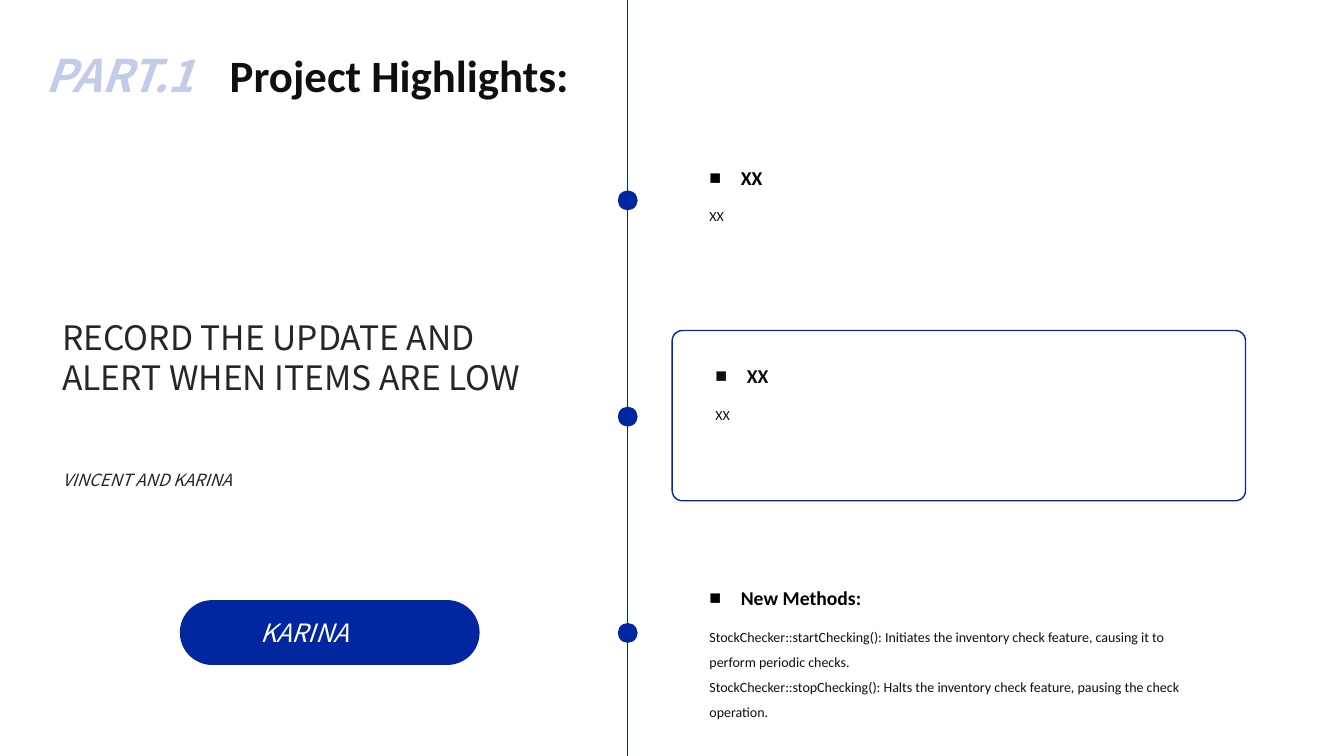
from dataclasses import dataclass

from lxml import etree
from pptx import Presentation
from pptx.dml.color import RGBColor
from pptx.enum import shapes, text
from pptx.oxml import ns
from pptx.util import Cm, Pt


@dataclass(frozen=True)
class Theme:
    blue: str = "0026A0"
    ink: str = "0F0F0F"
    black: str = "000000"
    grey: str = "262626"
    white: str = "FFFFFF"
    body_font: str = "Calibri"
    display_font: str = "Noto Sans CJK SC"
    title: int = 32
    statement: int = 24
    button: int = 18
    heading: int = 14
    caption: int = 12
    body: int = 10


THEME = Theme()
AXIS_X = 15.82
DOT_SIZE = 0.5
SHAPE = shapes.MSO_SHAPE


def add_xml(parent, tag, **attributes):
    return etree.SubElement(parent, ns.qn(tag), attributes)


def add_bullet(para, indent=0.79):
    props = para._p.get_or_add_pPr()
    props.set("marL", str(Cm(indent)))
    props.set("indent", str(-Cm(indent)))
    add_xml(props, "a:buFont", typeface="Arial")
    add_xml(props, "a:buChar", char="■")


def add_text(page, content, left, top, width, height, *, size, color=THEME.ink,
             font=THEME.body_font, bold=False, italic=False, spacing=None,
             bullet=False, opacity=None):
    """Add a text box with one paragraph for each line of content."""
    box = page.shapes.add_textbox(Cm(left), Cm(top), Cm(width), Cm(height))
    frame = box.text_frame
    frame.word_wrap = True
    for index, line in enumerate(content.split("\n")):
        para = frame.paragraphs[0] if index == 0 else frame.add_paragraph()
        if spacing:
            para.line_spacing = spacing
        if bullet:
            add_bullet(para)
        span = para.add_run()
        span.text = line
        span.font.size = Pt(size)
        span.font.name = font
        span.font.bold = bold
        span.font.italic = italic
        span.font.color.rgb = RGBColor.from_string(color)
        props = span._r.get_or_add_rPr()
        if opacity:
            fill_color = props.find(".//" + ns.qn("a:srgbClr"))
            add_xml(fill_color, "a:alpha", val=str(opacity * 1000))
        add_xml(props, "a:ea", typeface=font)
    return box


def add_block(page, kind, left, top, width, height, *, fill=None, line=None, radius=None):
    block = page.shapes.add_shape(kind, Cm(left), Cm(top), Cm(width), Cm(height))
    block.shadow.inherit = False
    if radius is not None:
        block.adjustments[0] = radius
    if fill:
        block.fill.solid()
        block.fill.fore_color.rgb = RGBColor.from_string(fill)
    else:
        block.fill.background()
    if line:
        block.line.color.rgb = RGBColor.from_string(line)
        block.line.width = Pt(1)
    else:
        block.line.fill.background()
    return block


def add_timeline(page, height, dot_tops):
    axis = page.shapes.add_connector(shapes.MSO_CONNECTOR.STRAIGHT,
                                     Cm(AXIS_X), 0, Cm(AXIS_X), height)
    axis.line.color.rgb = RGBColor.from_string(THEME.blue)
    axis.line.width = Pt(0.5)
    add_xml(axis._element.spPr, "a:effectLst")
    for top in dot_tops:
        add_block(page, SHAPE.OVAL, AXIS_X - DOT_SIZE / 2, top, DOT_SIZE, DOT_SIZE,
                  fill=THEME.blue)


def add_topic(page, heading, body, left, top, body_height, color=THEME.black):
    add_text(page, heading, left, top, 10.44, 1.07, size=THEME.heading, color=color,
             bold=True, spacing=1.5, bullet=True)
    add_text(page, body, left, top + 1.14, 13.18, body_height, size=THEME.body, spacing=1.5)


def main():
    deck = Presentation()
    deck.slide_width, deck.slide_height = Cm(33.87), Cm(19.05)
    page = deck.slides.add_slide(deck.slide_layouts[6])

    # Title
    add_text(page, "PART.1", 0.89, 1.07, 18.39, 1.63, size=THEME.title, color=THEME.blue,
             font=THEME.display_font, bold=True, italic=True, opacity=24)
    add_text(page, "Project Highlights:", 5.54, 1.07, 19.5, 1.63, size=THEME.title, bold=True)

    # Statement and authors
    add_text(page, "VINCENT AND KARINA", 1.32, 11.71, 11.15, 0.97, size=THEME.caption,
             color=THEME.grey, font=THEME.display_font, italic=True)
    add_text(page, "RECORD THE UPDATE AND\nALERT WHEN ITEMS ARE LOW", 1.32, 7.85, 13.56, 2.31,
             size=THEME.statement, color=THEME.grey, font=THEME.display_font)

    # Name button
    add_block(page, SHAPE.ROUNDED_RECTANGLE, 4.55, 15.14, 7.52, 1.6,
              fill=THEME.blue, line=THEME.blue, radius=0.5)
    add_text(page, "KARINA", 6.32, 15.42, 3.56, 1.02, size=THEME.button, color=THEME.white,
             font=THEME.display_font, italic=True)

    # Timeline
    add_timeline(page, deck.slide_height, [4.8 + 5.45 * step for step in range(3)])

    # Topics
    add_topic(page, "XX", "XX", 17.63, 3.76, 0.84)
    add_block(page, SHAPE.ROUNDED_RECTANGLE, 16.94, 8.33, 14.45, 4.29,
              line=THEME.blue, radius=0.06)
    add_topic(page, "XX", "XX", 17.78, 8.76, 0.84, color=THEME.ink)
    methods = ("StockChecker::startChecking(): Initiates the inventory check feature, "
               "causing it to perform periodic checks.\n"
               "StockChecker::stopChecking(): Halts the inventory check feature, "
               "pausing the check operation.")
    add_topic(page, "New Methods:", methods, 17.63, 14.35, 2.74)

    deck.save("out.pptx")


if __name__ == "__main__":
    main()
